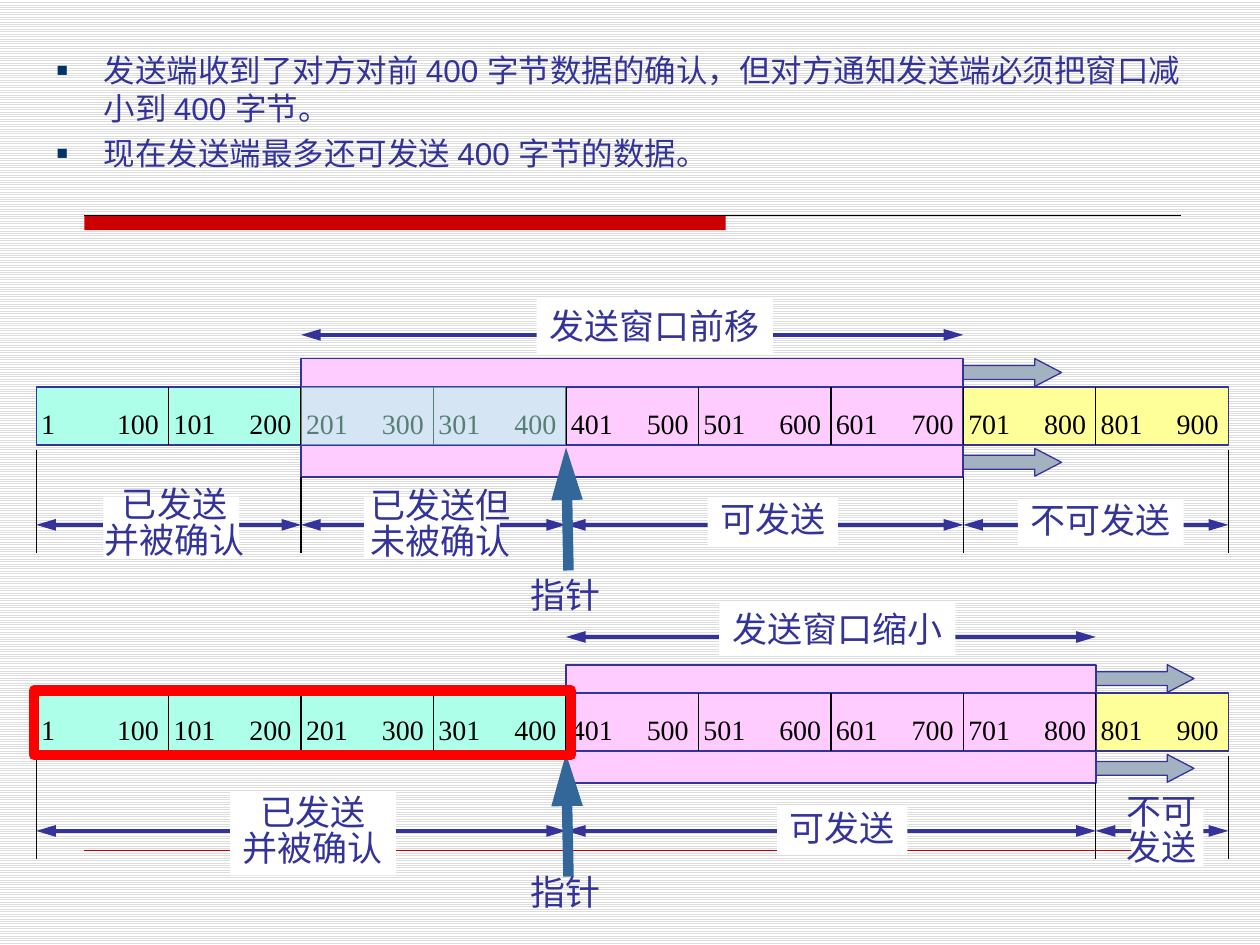
from dataclasses import dataclass

from lxml import etree
from pptx import Presentation
from pptx.dml.color import RGBColor
from pptx.enum.dml import MSO_PATTERN
from pptx.enum.shapes import MSO_CONNECTOR, MSO_SHAPE
from pptx.enum.text import MSO_ANCHOR, MSO_AUTO_SIZE, PP_ALIGN
from pptx.oxml.ns import qn
from pptx.util import Cm, Pt

WHITE = RGBColor(0xFF, 0xFF, 0xFF)
BLACK = RGBColor(0x00, 0x00, 0x00)
STRIPE = RGBColor(0xDD, 0xDD, 0xDD)
RULE_RED = RGBColor(0xCC, 0x00, 0x00)
FRAME_RED = RGBColor(0xFF, 0x00, 0x00)
INDIGO = RGBColor(0x33, 0x33, 0x99)
NAVY = RGBColor(0x00, 0x33, 0x66)
STEEL = RGBColor(0x33, 0x66, 0x99)
GREY_BLUE = RGBColor(0xA3, 0xB2, 0xC1)
MINT = RGBColor(0xAD, 0xFF, 0xEA)
YELLOW = RGBColor(0xFF, 0xFF, 0x99)
PINK = RGBColor(0xFF, 0xCC, 0xFF)
CJK_FONT = "Noto Sans CJK SC"

CELL_COUNT = 9
CELL_WIDTH = 2.67
BAR_HEIGHT = 1.17
WINDOW_MARGIN = 0.57
MEASURE_Y = 2.78
POINTER_CELL = 4


@dataclass
class Label:
    text: str
    center: float
    top: float
    patch: tuple = None


@dataclass
class Panel:
    acknowledged: int
    window: tuple
    bounds: tuple
    labels: tuple
    title: Label
    title_line: float
    pointer_top: float


def add_box(slide, left, top, width, height, fill=None, line=None, weight=0.75,
            kind=MSO_SHAPE.RECTANGLE, alpha=None):
    shape = slide.shapes.add_shape(kind, Cm(left), Cm(top), Cm(width), Cm(height))
    shape.shadow.inherit = False
    if fill is None:
        shape.fill.background()
    else:
        shape.fill.solid()
        shape.fill.fore_color.rgb = fill
    if alpha is not None:
        color = shape.fill._xPr.find(qn("a:solidFill"))[0]
        etree.SubElement(color, qn("a:alpha"), val=str(alpha * 1000))
    if line is None:
        shape.line.fill.background()
    else:
        shape.line.color.rgb = line
        shape.line.width = Pt(weight)
    return shape


def add_line(slide, x1, y1, x2, y2, color=BLACK, weight=0.75, arrows=()):
    line = slide.shapes.add_connector(MSO_CONNECTOR.STRAIGHT, Cm(x1), Cm(y1), Cm(x2), Cm(y2))
    line.line.color.rgb = color
    line.line.width = Pt(weight)
    for end in arrows:
        etree.SubElement(line.line._ln, qn("a:" + end), type="triangle", w="med", len="lg")
    etree.SubElement(line._element.spPr, qn("a:effectLst"))


def format_font(paragraph, size, color, name, east_asian=CJK_FONT):
    for run in paragraph.runs:
        run.font.size = Pt(size)
        run.font.color.rgb = color
        run.font.name = name
        etree.SubElement(run.font._element, qn("a:ea"), typeface=east_asian)


def add_text(slide, text, left, top, width, height, size=20, color=INDIGO, font=CJK_FONT,
             align=PP_ALIGN.CENTER, spacing=0.85, fill=None):
    shape = slide.shapes.add_textbox(Cm(left), Cm(top), Cm(width), Cm(height))
    if fill is not None:
        shape.fill.solid()
        shape.fill.fore_color.rgb = fill
    frame = shape.text_frame
    frame.word_wrap = False
    frame.text = text
    for paragraph in frame.paragraphs:
        paragraph.alignment = align
        paragraph.line_spacing = spacing
        format_font(paragraph, size, color, font)


def add_label(slide, left, top, label, height=None, spacing=0.85):
    lines = label.text.split("\n")
    width = 0.71 * max(map(len, lines)) + 0.5
    height = height or 0.24 + 0.73 * len(lines)
    if label.patch:
        x, y, patch_width, patch_height = label.patch
        add_box(slide, left + x, top + y, patch_width, patch_height, fill=WHITE)
    add_text(slide, label.text, left + label.center - width / 2, top + label.top, width, height,
             spacing=spacing, fill=None if label.patch else WHITE)


def add_notes_list(placeholder, items, left, top, width, height):
    placeholder.left, placeholder.top = Cm(left), Cm(top)
    placeholder.width, placeholder.height = Cm(width), Cm(height)
    frame = placeholder.text_frame
    frame.auto_size = MSO_AUTO_SIZE.NONE
    frame.vertical_anchor = MSO_ANCHOR.TOP
    frame.text = "\n".join(items)
    for index, paragraph in enumerate(frame.paragraphs):
        paragraph.space_before = Pt(4 if index else 0)
        properties = paragraph._p.get_or_add_pPr()
        properties.set("marL", str(Cm(0.95)))
        properties.set("indent", str(-Cm(0.95)))
        color = etree.SubElement(properties, qn("a:buClr"))
        etree.SubElement(color, qn("a:srgbClr"), val=str(NAVY))
        etree.SubElement(properties, qn("a:buSzPct"), val="60000")
        etree.SubElement(properties, qn("a:buFont"), typeface="Arial")
        etree.SubElement(properties, qn("a:buChar"), char="■")
        format_font(paragraph, 18, INDIGO, "Arial")


def add_rules(slide, left, top, width, bottom):
    add_box(slide, left, top, 12.93, 0.3, fill=RULE_RED)
    add_line(slide, left, top, left + width, top)
    add_line(slide, left, bottom, left + 22, bottom, color=RULE_RED, weight=0.25)


def add_byte_cells(slide, left, top):
    width = CELL_COUNT * CELL_WIDTH
    add_box(slide, left, top, width, BAR_HEIGHT, line=INDIGO)
    for index in range(CELL_COUNT):
        x = left + index * CELL_WIDTH
        if index:
            add_line(slide, x, top, x, top + BAR_HEIGHT)
        first = index * 100 + 1
        ends = ((first, x - 0.15, 1.37 if index else 0.79),
                (first + 99, x + CELL_WIDTH - 1.29, 1.37))
        for number, number_left, number_width in ends:
            add_text(slide, str(number), number_left, top + 0.27, number_width, 0.94, size=16,
                     color=BLACK, font="Times New Roman", align=PP_ALIGN.LEFT, spacing=1.0)


def add_panel(slide, left, top, panel):
    def cell_x(index):
        return left + index * CELL_WIDTH

    start, end = panel.window
    add_box(slide, left, top, panel.acknowledged * CELL_WIDTH, BAR_HEIGHT, fill=MINT)
    add_box(slide, cell_x(end), top, (CELL_COUNT - end) * CELL_WIDTH, BAR_HEIGHT, fill=YELLOW)
    for y in (top - WINDOW_MARGIN, top + 1.24):
        arrow = add_box(slide, cell_x(end) - 0.13, y, 2.11, 0.56, fill=GREY_BLUE, line=INDIGO,
                        kind=MSO_SHAPE.RIGHT_ARROW)
        arrow.adjustments[0], arrow.adjustments[1] = 0.5, 0.96
    add_box(slide, cell_x(start), top - WINDOW_MARGIN, (end - start) * CELL_WIDTH, 2.39,
            fill=PINK, line=INDIGO, weight=1)
    add_byte_cells(slide, left, top)
    sent = POINTER_CELL - panel.acknowledged
    if sent:
        add_box(slide, cell_x(panel.acknowledged), top, sent * CELL_WIDTH, BAR_HEIGHT,
                fill=MINT, alpha=50)

    both_ends = ("headEnd", "tailEnd")
    for bound in panel.bounds:
        if bound != POINTER_CELL:
            tick_top = 1.27 if bound in (0, CELL_COUNT) else 1.81
            add_line(slide, cell_x(bound), top + tick_top, cell_x(bound), top + 3.35)
    for first, last in zip(panel.bounds, panel.bounds[1:]):
        add_line(slide, cell_x(first), top + MEASURE_Y, cell_x(last), top + MEASURE_Y,
                 color=INDIGO, weight=2.25, arrows=both_ends)
    for label in panel.labels:
        add_label(slide, left, top, label)

    add_line(slide, cell_x(POINTER_CELL) + 0.05, top + 3.7, cell_x(POINTER_CELL), top + 1.22,
             color=STEEL, weight=6, arrows=("tailEnd",))
    add_text(slide, "指针", cell_x(POINTER_CELL) - 0.96, top + panel.pointer_top, 1.92, 0.97)
    add_line(slide, cell_x(start), top + panel.title_line, cell_x(end), top + panel.title_line,
             color=INDIGO, weight=2.25, arrows=both_ends)
    add_label(slide, left, top, panel.title, height=1.1, spacing=1.0)


def main():
    presentation = Presentation()
    presentation.slide_width, presentation.slide_height = Cm(25.4), Cm(19.05)
    slide = presentation.slides.add_slide(presentation.slide_layouts[1])
    background = slide.background.fill
    background.patterned()
    background.pattern = MSO_PATTERN.LIGHT_HORIZONTAL
    background.fore_color.rgb = STRIPE
    background.back_color.rgb = WHITE

    title = slide.shapes.title
    title._element.getparent().remove(title._element)
    add_notes_list(slide.placeholders[1], (
        "发送端收到了对方对前 400 字节数据的确认，但对方通知发送端必须把窗口减小到 400 字节。",
        "现在发送端最多还可发送 400 字节的数据。",
    ), 0.89, 0.91, 23.6, 3.4)
    add_rules(slide, 1.7, 4.34, 22.1, 17.15)

    moved = Panel(2, (2, 7), (0, 2, 4, 7, 9), (
        Label("已发送\n并被确认", 2.79, 1.93, (1.35, 2.21, 2.74, 1.22)),
        Label("已发送但\n未被确认", 8.15, 1.96, (6.61, 2.21, 2.74, 1.22)),
        Label("可发送", 14.85, 2.24),
        Label("不可发送", 21.46, 2.26),
    ), Label("发送窗口前移", 12.47, -1.78), -1.05, 3.76)
    shrunk = Panel(4, (4, 8), (0, 4, 8, 9), (
        Label("已发送\n并被确认", 5.58, 1.98),
        Label("可发送", 16.25, 2.29),
        Label("不可\n发送", 22.69, 1.96, (22.08, 2.34, 1.45, 1.17)),
    ), Label("发送窗口缩小", 16.15, -1.85), -1.13, 3.58)
    add_panel(slide, 0.73, 7.8, moved)
    add_panel(slide, 0.73, 13.97, shrunk)
    add_box(slide, 0.69, 13.92, 10.82, 1.3, line=FRAME_RED, weight=6)

    presentation.save("out.pptx")


if __name__ == "__main__":
    main()
